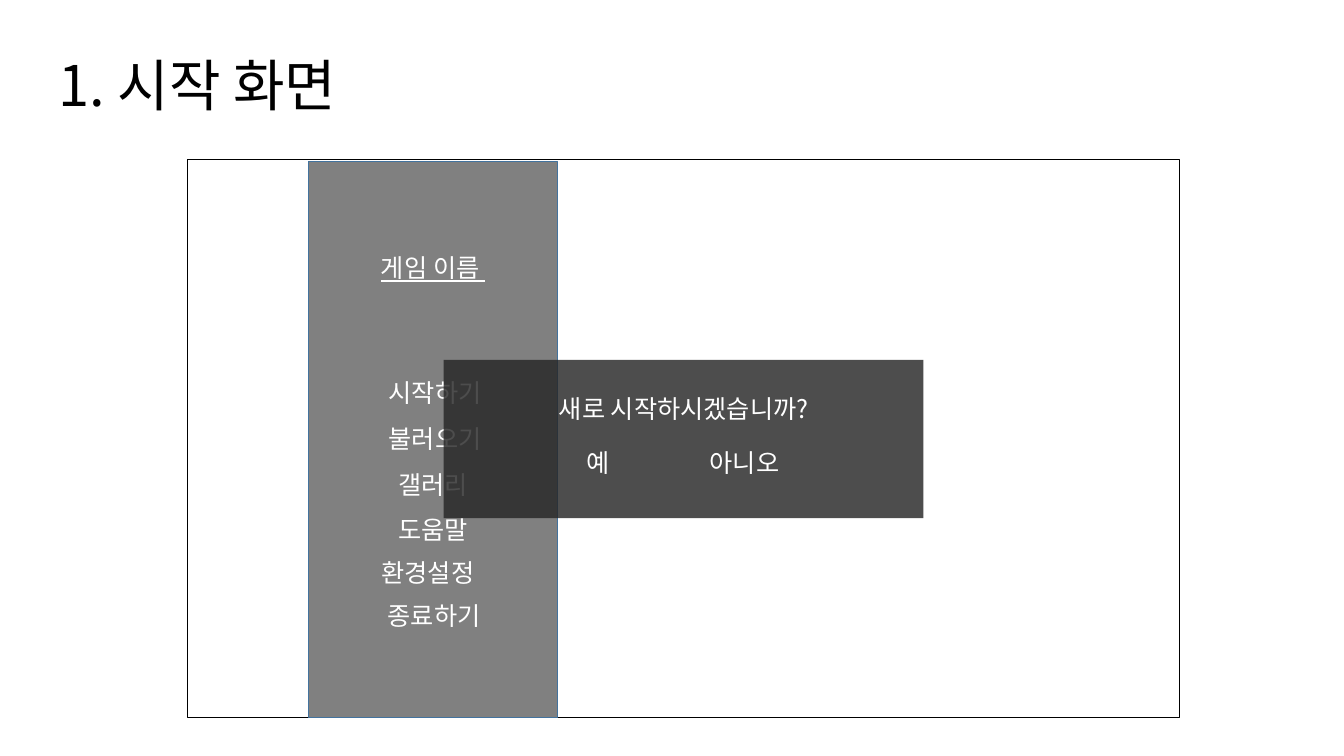
from lxml import etree
from pptx import Presentation
from pptx.dml.color import RGBColor
from pptx.enum.shapes import MSO_SHAPE
from pptx.enum.text import MSO_ANCHOR, PP_ALIGN
from pptx.oxml.ns import qn
from pptx.util import Pt

PX = 9144
FONT = "Noto Sans CJK KR"
RECTANGLE = MSO_SHAPE.RECTANGLE
MIDDLE = MSO_ANCHOR.MIDDLE
LEFT, CENTER = PP_ALIGN.LEFT, PP_ALIGN.CENTER
BODY_FORMAT = {"name": FONT, "size": Pt(18)}
TITLE_FORMAT = {"name": FONT, "size": Pt(40)}

MENU = [
    ("시작하기", 370, 369),
    ("불러오기", 370, 415),
    ("갤러리", 368, 461),
    ("도움말", 368, 505),
    ("환경설정", 363, 548),
    ("종료하기", 369, 591),
]


def color(value):
    """Turn a hex string into a colour."""
    return RGBColor.from_string(value)


def lengths(*values):
    """Turn px lengths into EMU."""
    return [value * PX for value in values]


def format_span(span, formats, ink):
    """Apply format values, an East Asian typeface and a colour to a run."""
    for name, value in formats.items():
        setattr(span.font, name, value)
    span.font.color.rgb = color(ink)
    east_asian = etree.SubElement(span.font._element, qn("a:ea"))
    east_asian.set("typeface", FONT)


def add_panel(page, area, fill, line=None, opacity=None):
    """Draw a rectangle with an optional outline and opacity percentage."""
    panel = page.shapes.add_shape(RECTANGLE, *lengths(*area))
    panel.shadow.inherit = False
    panel.fill.solid()
    panel.fill.fore_color.rgb = color(fill)
    if line:
        panel.line.color.rgb = color(line)
        panel.line.width = Pt(1)
    else:
        panel.line.fill.background()
    if opacity:
        tint = panel._element.spPr.find(qn("a:solidFill"))[0]
        etree.SubElement(tint, qn("a:alpha")).set("val", str(opacity * 1000))


def add_label(page, area, text, **formats):
    """Add a centred white text box and return its text frame."""
    frame = page.shapes.add_textbox(*lengths(*area)).text_frame
    frame.word_wrap = True
    para = frame.paragraphs[0]
    para.alignment = CENTER
    span = para.add_run()
    span.text = text
    format_span(span, BODY_FORMAT | formats, "FFFFFF")
    return frame


def add_choices(frame, choices, stops):
    """Add a line of choices, each at its own tab stop."""
    para = frame.add_paragraph()
    para.alignment = LEFT
    para.space_before = Pt(17.5)
    tabs = etree.SubElement(para._p.get_or_add_pPr(), qn("a:tabLst"))
    for stop in lengths(*stops):
        etree.SubElement(tabs, qn("a:tab"), pos=str(stop), algn="l")
    span = para.add_run()
    span.text = "".join(f"\t{choice}" for choice in choices)
    format_span(span, BODY_FORMAT, "FFFFFF")


def set_title(page, area, text):
    """Place and format the title placeholder."""
    title = page.shapes.title
    for name, value in zip(("left", "top", "width", "height"), lengths(*area)):
        setattr(title, name, value)
    frame = title.text_frame
    frame.word_wrap = True
    frame.vertical_anchor = MIDDLE
    para = frame.paragraphs[0]
    para.alignment = LEFT
    para.line_spacing = 0.9
    span = para.add_run()
    span.text = text
    format_span(span, TITLE_FORMAT, "000000")


def main():
    """Build the start screen slide."""
    deck = Presentation()
    deck.slide_width, deck.slide_height = lengths(1333, 750)
    page = deck.slides.add_slide(deck.slide_layouts[5])
    set_title(page, (48, 15, 1150, 145), "1. 시작 화면")
    add_panel(page, (186, 158, 984, 554), "FFFFFF", line="000000")
    add_panel(page, (306, 160, 247, 552), "808080", line="43739E")
    add_label(page, (288, 245, 283, 71), "게임 이름 ", underline=True)
    for text, left, top in MENU:
        add_label(page, (left, top, 123, 40), text)
    add_panel(page, (440, 357, 476, 157), "262626", opacity=82)
    question = add_label(page, (472, 385, 412, 101), "새로 시작하시겠습니까?")
    add_choices(question, ("예", "아니오"), (100, 222))
    deck.save("out.pptx")


if __name__ == "__main__":
    main()
